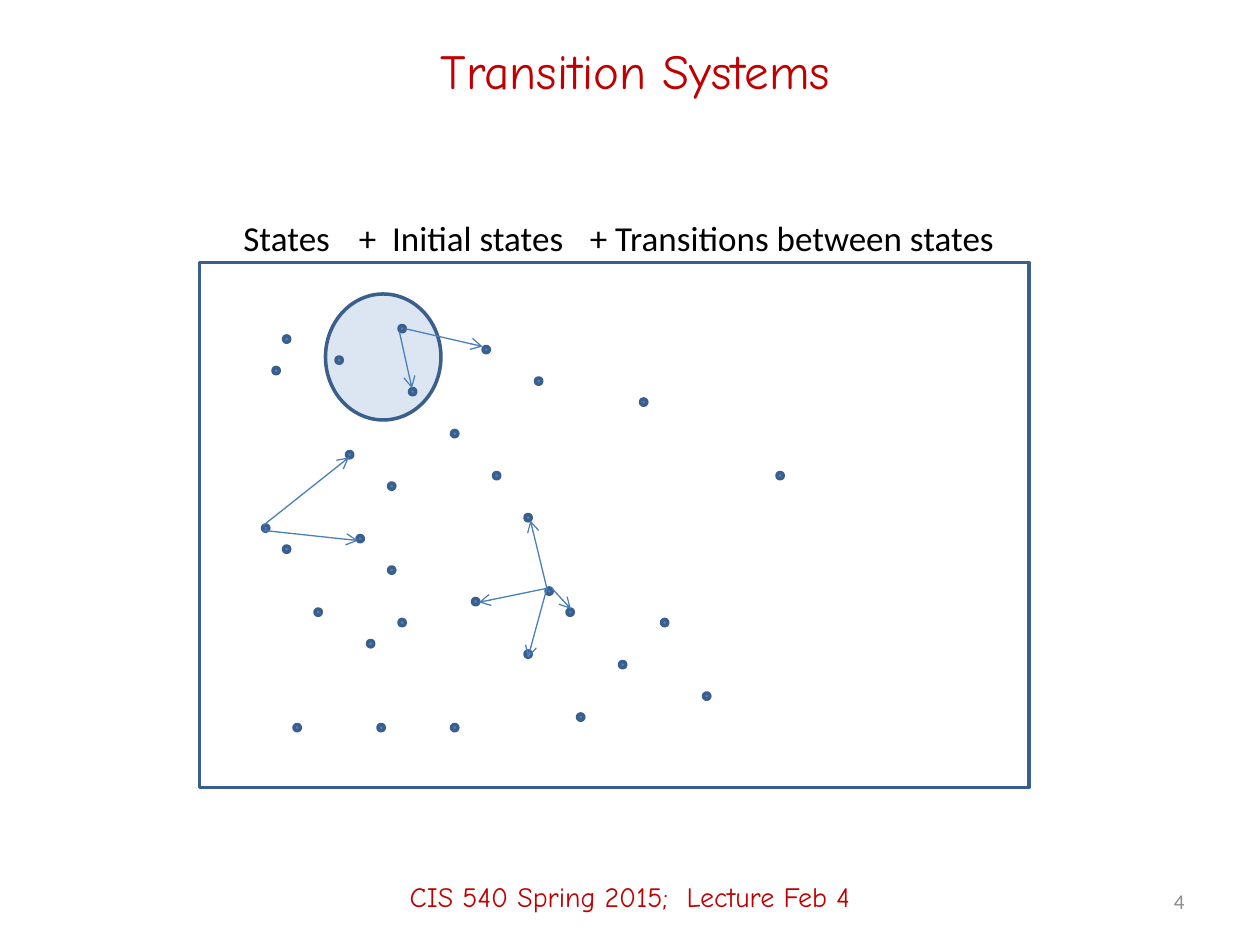
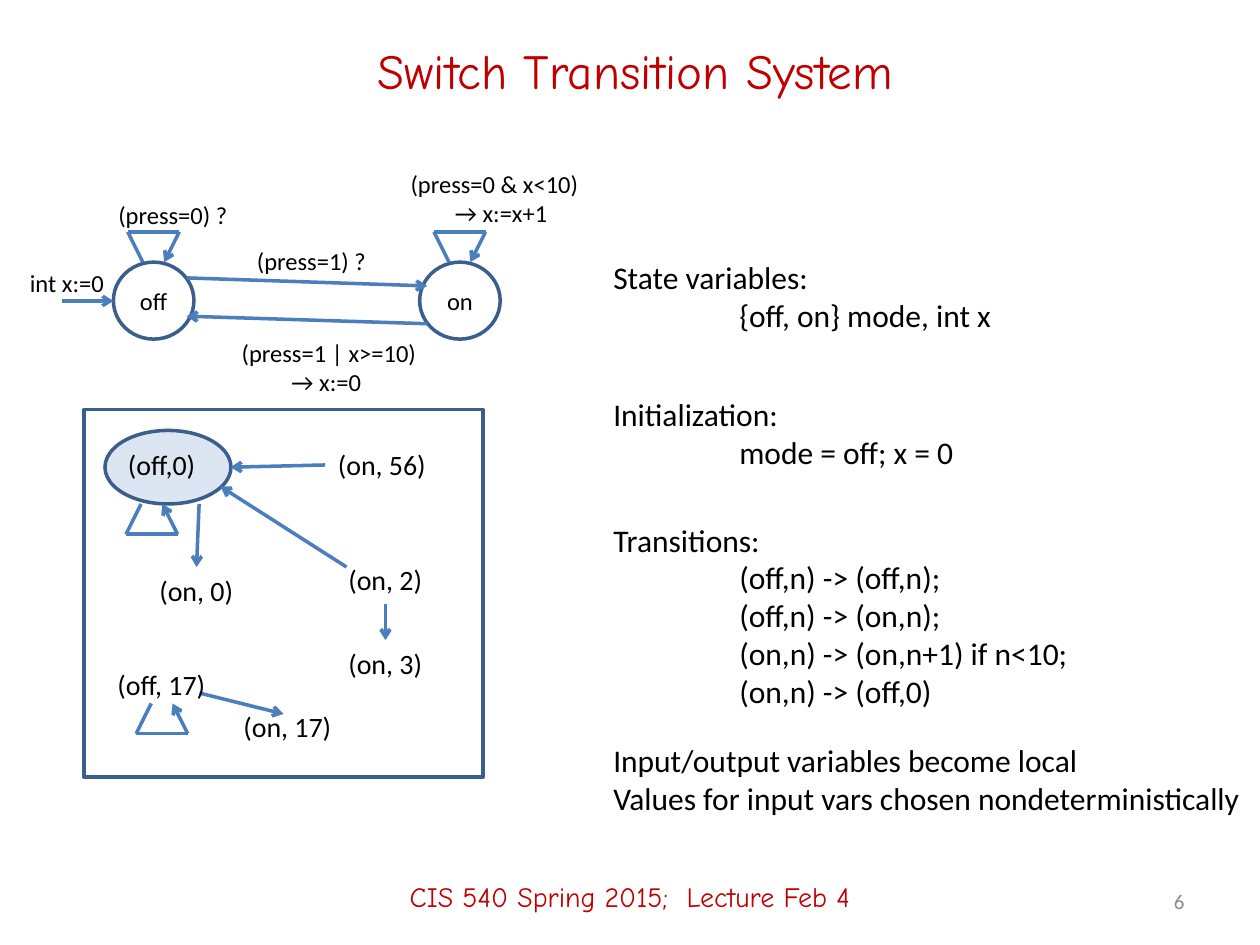
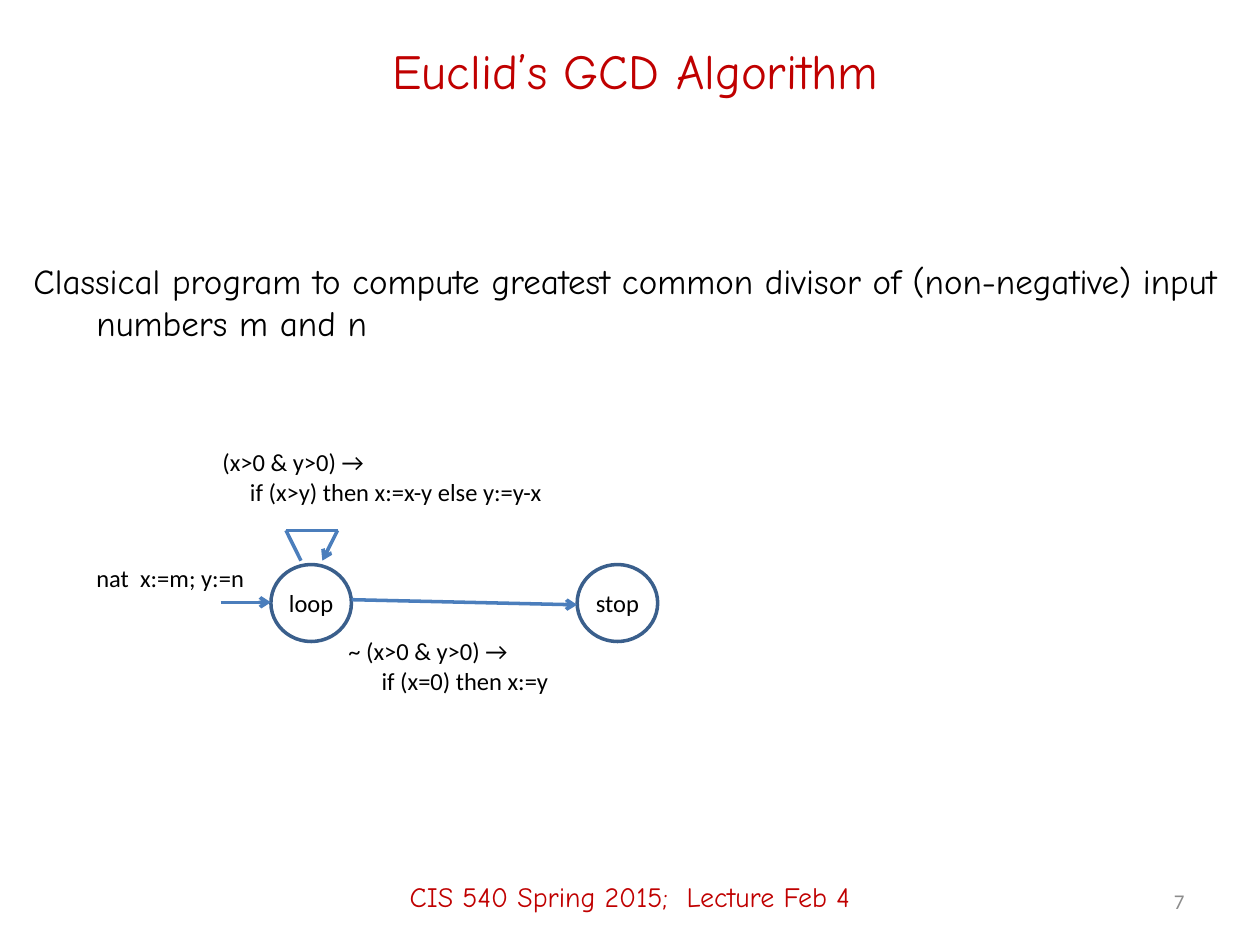
from pptx import Presentation
from pptx.dml.color import RGBColor
from pptx.enum.shapes import MSO_CONNECTOR, MSO_SHAPE
from pptx.enum.text import MSO_ANCHOR, MSO_AUTO_SIZE, PP_ALIGN
from pptx.oxml.ns import qn
from pptx.util import Pt
from lxml import etree

STRAIGHT = MSO_CONNECTOR.STRAIGHT
OVAL, RECT = MSO_SHAPE.OVAL, MSO_SHAPE.RECTANGLE
TOP, MIDDLE = MSO_ANCHOR.TOP, MSO_ANCHOR.MIDDLE
LEFT, CENTER, RIGHT = PP_ALIGN.LEFT, PP_ALIGN.CENTER, PP_ALIGN.RIGHT
FIT, FIXED = MSO_AUTO_SIZE.SHAPE_TO_FIT_TEXT, MSO_AUTO_SIZE.NONE

COLORS = {
    "heading": "C00000",
    "body": "000000",
    "number": "8C8C8C",
    "outline": "3A5F8C",
    "arrow": "4B7EBC",
    "state": "4F81BD",
    "initial": "DCE6F2",
}
HAND, PLAIN = "Comic Neue", "Calibri"
FORMATS = {
    "title": ("heading", {"name": HAND, "size": Pt(28)}),
    "footer": ("heading", {"name": HAND, "size": Pt(16)}),
    "number": ("number", {"name": PLAIN, "size": Pt(12)}),
    "statement": ("body", {"name": HAND, "size": Pt(20)}),
    "caption": ("body", {"name": PLAIN, "size": Pt(20)}),
    "definition": ("body", {"name": PLAIN, "size": Pt(18)}),
    "state": ("body", {"name": PLAIN, "size": Pt(16)}),
    "guard": ("body", {"name": PLAIN, "size": Pt(14)}),
}
FOOTER = "CIS 540 Spring 2015;  Lecture Feb 4"


def rgb(name):
    return RGBColor.from_string(COLORS[name])


class Deck:
    def __init__(self):
        self.prs = Presentation()
        self.prs.slide_width, self.prs.slide_height = Pt(720), Pt(540)
        self.slide = None

    def new_slide(self, title, number):
        self.slide = self.prs.slides.add_slide(self.prs.slide_layouts[6])
        self.text((54, 12, 618, 56), [title], "title", CENTER, MIDDLE)
        self.text((0, 484, 720, 56), [FOOTER], "footer", CENTER, MIDDLE)
        self.text((516, 500.5, 168, 28.75), [number], "number", RIGHT, MIDDLE)

    def fill_lines(self, frame, lines, style, align, indent=0):
        color, values = FORMATS[style]
        for index, line in enumerate(lines):
            paragraph = frame.add_paragraph() if index else frame.paragraphs[0]
            paragraph.alignment = align
            if index and indent:
                paragraph._p.get_or_add_pPr().set("marL", str(Pt(indent)))
            run = paragraph.add_run()
            run.text = line
            run.font.color.rgb = rgb(color)
            for attribute, value in values.items():
                setattr(run.font, attribute, value)

    def text(self, box, lines, style, align=LEFT, anchor=TOP):
        frame = self.slide.shapes.add_textbox(*map(Pt, box)).text_frame
        settings = {"word_wrap": True, "auto_size": FIXED, "vertical_anchor": anchor}
        for attribute, value in settings.items():
            setattr(frame, attribute, value)
        self.fill_lines(frame, lines, style, align)
        return frame

    def label(self, x, y, width, lines, style, indent=0):
        height = len(lines) * FORMATS[style][1]["size"].pt * 1.22 + 7.2
        box = self.slide.shapes.add_textbox(Pt(x), Pt(y), Pt(width), Pt(height))
        box.text_frame.word_wrap = False
        box.text_frame.auto_size = FIT
        self.fill_lines(box.text_frame, lines, style, LEFT, indent)

    def shape(self, kind, x, y, width, height, fill=None):
        shape = self.slide.shapes.add_shape(kind, Pt(x), Pt(y), Pt(width), Pt(height))
        shape.shadow.inherit = False
        if fill:
            shape.fill.solid()
            shape.fill.fore_color.rgb = rgb(fill)
        else:
            shape.fill.background()
        shape.line.color.rgb = rgb("outline")
        shape.line.width = Pt(2)
        return shape

    def mode(self, x, y, name):
        frame = self.shape(OVAL, x, y, 46, 44).text_frame
        for side in ("left", "right", "top", "bottom"):
            setattr(frame, f"margin_{side}", 0)
        frame.word_wrap = False
        frame.vertical_anchor = MIDDLE
        self.fill_lines(frame, [name], "guard", CENTER)

    def line(self, start, end, weight=2, head=True):
        line = self.slide.shapes.add_connector(STRAIGHT, *map(Pt, (*start, *end)))
        line.line.color.rgb = rgb("arrow")
        line.line.width = Pt(weight)
        properties = line._element.spPr
        if head:
            tail = etree.SubElement(properties.find(qn("a:ln")), qn("a:tailEnd"))
            tail.set("type", "arrow")
        etree.SubElement(properties, qn("a:effectLst"))

    def self_loop(self, x, y, rise):
        corners = [(x, y), (x - 8.6, y + rise), (x + 20.9, y + rise), (x + 12.2, y)]
        for index, (start, end) in enumerate(zip(corners, corners[1:])):
            self.line(start, end, head=index == 2)


def transition_systems(deck):
    deck.new_slide("Transition Systems", "4")
    deck.shape(OVAL, 186, 168, 66, 72, "initial")
    deck.shape(RECT, 114, 150, 474, 300)
    grid = 6
    states = [
        (27, 32), (32, 34), (26, 35), (33, 43), (38, 31), (39, 37), (37, 46),
        (37, 54), (46, 33), (47, 45), (34, 51), (35, 61), (51, 36), (43, 41),
        (38, 59), (45, 57), (25, 50), (27, 52), (30, 58), (28, 69), (52, 56),
        (54, 58), (50, 62), (43, 69), (50, 49), (61, 38), (59, 63), (36, 69),
        (55, 68), (74, 45), (63, 59), (67, 66),
    ]
    for column, row in states:
        deck.shape(OVAL, column * grid, row * grid, 3.6, 3.6, "state")
    transitions = [
        ((231.8, 187.9), (275.8, 198)),
        ((228.2, 189.4), (235.4, 221.8)),
        ((312.5, 336.2), (301.7, 375.8)),
        ((312.5, 336.2), (273.6, 344.2)),
        ((315.4, 336.2), (326.2, 348)),
        ((312.5, 336.2), (303.1, 297.4)),
        ((150.5, 300.2), (199.4, 261.4)),
        ((150.5, 303.1), (204.5, 308.9)),
    ]
    for start, end in transitions:
        deck.line(start, end, 0.75)
    for x, width, caption in [
        (132, 65, "States"),
        (198, 137.5, "+  Initial states"),
        (330, 252.7, "+ Transitions between states"),
    ]:
        deck.label(x, 120, width, [caption], "caption")


def switch_system(deck):
    deck.new_slide("Switch Transition System", "6")
    deck.shape(OVAL, 60, 246, 72, 42, "initial")
    deck.shape(RECT, 48, 234, 228, 210)
    for x, mode in [(64.8, "off"), (239.8, "on")]:
        deck.mode(x, 149.8, mode)
        deck.self_loop(x + 16.8, 149.8, -17.3)
    for start, end in [
        ((106.6, 158.8), (244.1, 163.4)),
        ((244.1, 185), (106.6, 180.7)),
        ((35.3, 172), (64.8, 172)),
        ((220.3, 344.9), (220.3, 365.8)),
        ((185.8, 265.7), (131.8, 267)),
        ((113.8, 288), (112.3, 324)),
        ((114, 396), (162, 408)),
        ((198, 324), (126, 278)),
    ]:
        deck.line(start, end)
    deck.self_loop(80.6, 288, 17.3)
    deck.self_loop(86.4, 402, 17.3)
    for x, y, width, lines, indent in [
        (10, 149.8, 57.6, ["int x:=0"], 0),
        (60.5, 110.9, 77.8, ["(press=0) ?"], 0),
        (139.7, 136.8, 77.8, ["(press=1) ?"], 0),
        (227.5, 92.9, 114.5, ["(press=0 & x<10)", "→ x:=x+1"], 25.3),
        (131, 189.4, 115.2, ["(press=1 | x>=10)", "→ x:=0"], 28.5),
    ]:
        deck.label(x, y, width, lines, "guard", indent)
    for x, y, width, state in [
        (66, 252, 54, "(off,0)"),
        (60, 378, 65.5, "(off, 17)"),
        (192, 318, 57.6, "(on, 2)"),
        (186, 252, 65.5, "(on, 56)"),
        (192, 366, 57.6, "(on, 3)"),
        (84, 324, 57.6, "(on, 0)"),
        (132, 402, 65.5, "(on, 17)"),
    ]:
        deck.label(x, y, width, [state], "state")
    for y, width, indent, lines in [
        (144, 233.3, 72, ["State variables:", "{off, on} mode, int x"]),
        (222, 211.7, 72, ["Initialization:", "mode = off; x = 0"]),
        (294, 277.2, 72, [
            "Transitions:",
            "(off,n) -> (off,n);",
            "(off,n) -> (on,n);",
            "(on,n) -> (on,n+1) if n<10;",
            "(on,n) -> (off,0)",
        ]),
        (420, 376.6, 0, [
            "Input/output variables become local",
            "Values for input vars chosen nondeterministically",
        ]),
    ]:
        deck.label(343.4, y, width, lines, "definition", indent)


def euclid_algorithm(deck):
    deck.new_slide("Euclid’s GCD Algorithm", "7")
    purpose = deck.text((12, 145, 696, 318), [
        "Classical program to compute greatest common divisor of "
        "(non-negative) input numbers m and n"
    ], "statement")
    hanging = purpose.paragraphs[0]._p.get_or_add_pPr()
    for attribute, points in {"marL": 36, "indent": -36}.items():
        hanging.set(attribute, str(Pt(points)))
    for x, mode in [(154.8, "loop"), (329.8, "stop")]:
        deck.mode(x, 322.6, mode)
    deck.self_loop(172, 320.4, -17.3)
    deck.line((200.9, 342.7), (329.8, 345.6))
    deck.line((126, 344.2), (154.8, 344.2))
    for x, y, width, lines, indent in [
        (48, 318, 100, ["nat  x:=m; y:=n"], 0),
        (120, 252, 200, ["(x>0 & y>0) →", "if (x>y) then x:=x-y else y:=y-x"], 15.8),
        (192, 360, 129.6, ["~ (x>0 & y>0) →", "if (x=0) then x:=y"], 19),
    ]:
        deck.label(x, y, width, lines, "guard", indent)


def main():
    deck = Deck()
    transition_systems(deck)
    switch_system(deck)
    euclid_algorithm(deck)
    deck.prs.save("out.pptx")


if __name__ == "__main__":
    main()
